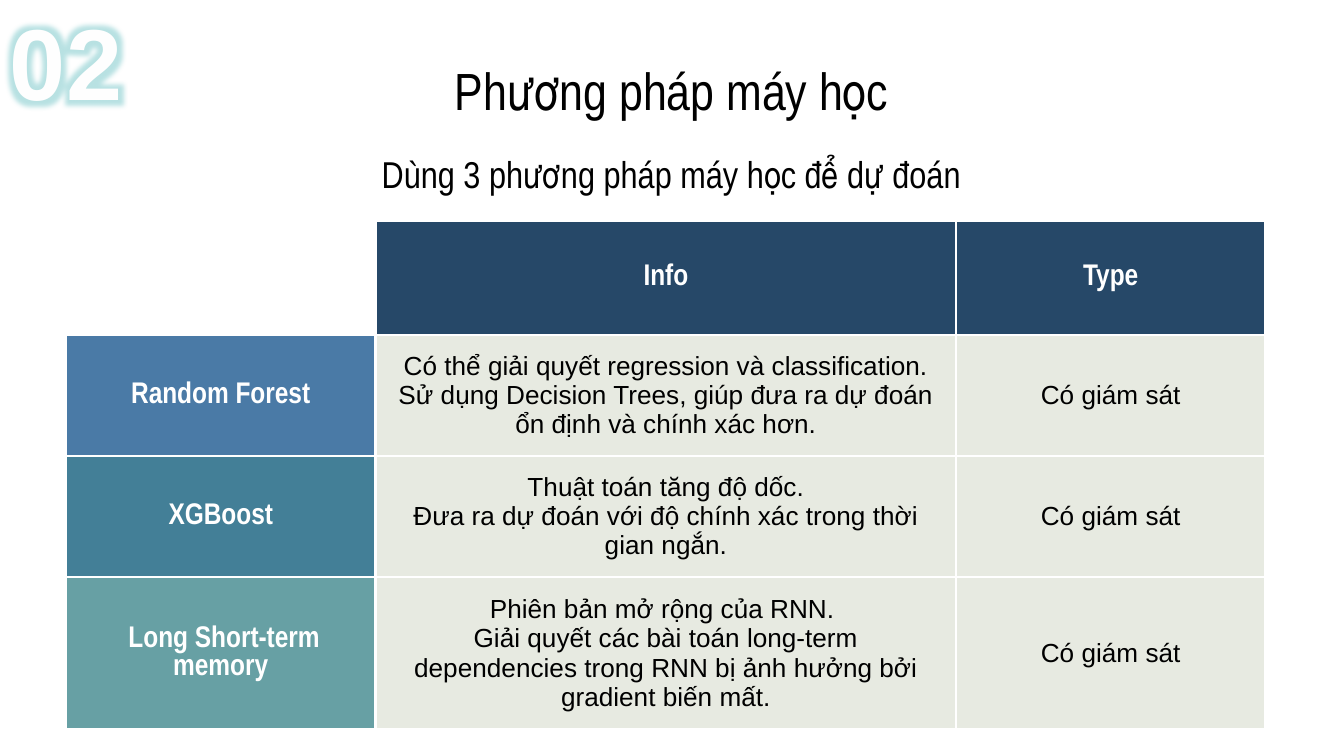
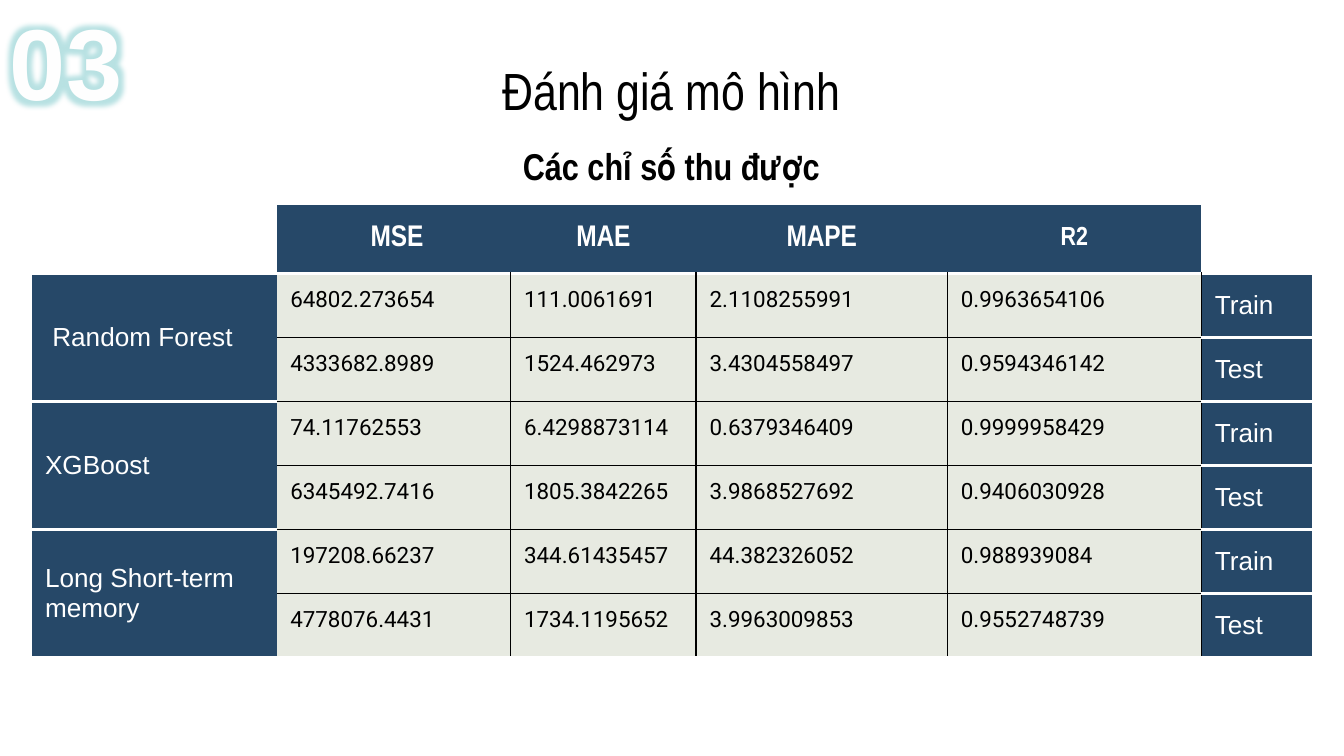
from lxml import etree
from pptx import Presentation
from pptx import util as u
from pptx.dml.color import RGBColor
from pptx.enum import text
from pptx.oxml import ns

WIDTH, HEIGHT = u.Inches(10), u.Inches(5.625)
COLORS = {
    "navy": "264868", "blue": "4A7AA6", "teal": "437F97", "sage": "67A0A4",
    "body": "E7EAE1", "white": "FFFFFF", "black": "000000",
    "number": "FEFEFE", "glow": "8ACFD1",
}
INSET = u.Inches(0.1)
PLAIN_TABLE = "{2D5ABB26-0587-4C30-8999-92F81FD0307C}"
CENTER, LEFT = text.PP_ALIGN.CENTER, text.PP_ALIGN.LEFT
MIDDLE, TOP = text.MSO_ANCHOR.MIDDLE, text.MSO_ANCHOR.TOP

METHODS = [
    ("Random Forest", "blue",
     "Có thể giải quyết regression và classification. "
     "Sử dụng Decision Trees, giúp đưa ra dự đoán ổn định và chính xác hơn."),
    ("XGBoost", "teal",
     "Thuật toán tăng độ dốc.\n"
     "Đưa ra dự đoán với độ chính xác trong thời gian ngắn."),
    (" Long Short-term memory", "sage",
     "Phiên bản mở rộng của RNN. \n"
     "Giải quyết các bài toán long-term dependencies trong RNN "
     "bị ảnh hưởng bởi gradient biến mất."),
]
METRICS = [" MSE", "MAE", "MAPE", "R2"]
SCORES = [
    (" Random Forest",
     ["64802.273654", "111.0061691", "2.1108255991", "0.9963654106"],
     ["4333682.8989", "1524.462973", "3.4304558497", "0.9594346142"]),
    ("XGBoost",
     ["74.11762553", "6.4298873114", "0.6379346409", "0.9999958429"],
     ["6345492.7416", "1805.3842265", "3.9868527692", "0.9406030928"]),
    ("Long Short-term memory",
     ["197208.66237", "344.61435457", "44.382326052", "0.988939084"],
     ["4778076.4431", "1734.1195652", "3.9963009853", "0.9552748739"]),
]


def across(percent):
    return round(WIDTH * percent / 100)


def down(percent):
    return round(HEIGHT * percent / 100)


def write(frame, words, size, font="Arial", color="black", bold=False, align=CENTER):
    frame.text = words
    for paragraph in frame.paragraphs:
        paragraph.alignment = align
        paragraph.font.size = u.Pt(size)
        paragraph.font.name = font
        paragraph.font.bold = bold
        paragraph.font.color.rgb = RGBColor.from_string(COLORS[color])


def inset(holder):
    holder.margin_left = holder.margin_right = INSET
    holder.margin_top = holder.margin_bottom = INSET
    holder.vertical_anchor = MIDDLE


def place_heading(shape, top, words, size, bold=False):
    """Centre one line of heading across the slide."""
    shape.left, shape.top = across(4.9), down(top)
    shape.width, shape.height = across(90.1), down(7.64)
    frame = shape.text_frame
    frame.word_wrap = True
    frame.auto_size = text.MSO_AUTO_SIZE.NONE
    inset(frame)
    write(frame, words, size, "Arial Narrow", bold=bold)


def solid_fill(parent, color):
    fill = etree.SubElement(parent, ns.qn("a:solidFill"))
    return etree.SubElement(fill, ns.qn("a:srgbClr"), val=COLORS[color])


def add_number(slide, number):
    """Section number in the corner, outlined and glowing."""
    box = slide.shapes.add_textbox(across(-0.4), down(-0.89), across(10.6), down(17.96))
    frame = box.text_frame
    frame.word_wrap = False
    frame.auto_size = text.MSO_AUTO_SIZE.SHAPE_TO_FIT_TEXT
    frame.text = number
    frame.paragraphs[0].alignment = CENTER
    run = frame.paragraphs[0].runs[0]
    run.font.size, run.font.bold = u.Pt(54), True
    props = run.font._element
    props.set("spc", "50")
    outline = etree.SubElement(props, ns.qn("a:ln"), w=str(u.Pt(0.75)))
    solid_fill(outline, "navy")
    solid_fill(props, "number")
    effects = etree.SubElement(props, ns.qn("a:effectLst"))
    glow = etree.SubElement(effects, ns.qn("a:glow"), rad=str(u.Pt(11)))
    tint = etree.SubElement(glow, ns.qn("a:srgbClr"), val=COLORS["glow"])
    etree.SubElement(tint, ns.qn("a:alpha"), val="60000")
    run.font.name = "Arial"


def start_slide(deck, number, title, subtitle, subtitle_top, subtitle_bold=False):
    slide = deck.slides.add_slide(deck.slide_layouts[5])
    place_heading(slide.shapes.title, 8, title, 28)
    subtitle_box = slide.shapes.add_textbox(0, 0, 0, 0)
    place_heading(subtitle_box, subtitle_top, subtitle, 20, subtitle_bold)
    add_number(slide, number)
    return slide


def add_grid(slide, left, top, columns, rows):
    """Unstyled table; columns and rows are shares of the slide's size."""
    table = slide.shapes.add_table(
        len(rows), len(columns), across(left), down(top),
        across(sum(columns)), down(sum(rows))).table
    table._tbl.tblPr.find(ns.qn("a:tableStyleId")).text = PLAIN_TABLE
    table.first_row = table.horz_banding = False
    for column, share in zip(table.columns, columns):
        column.width = across(share)
    for row, share in zip(table.rows, rows):
        row.height = down(share)
    return table


def rule_cell(cell, **sides):
    """Draw borders given as L, R, T, B; white lines are the heavier ones."""
    props = cell._tc.get_or_add_tcPr()
    for side in "LRTB":
        color = sides.get(side)
        if color:
            weight = u.Pt(1.5 if color == "white" else 1)
            line = etree.SubElement(props, ns.qn(f"a:ln{side}"), w=str(weight))
            solid_fill(line, color)


def fill_cell(cell, words, fill, size=14, anchor=MIDDLE, **style):
    cell.fill.solid()
    cell.fill.fore_color.rgb = RGBColor.from_string(COLORS[fill])
    inset(cell)
    cell.vertical_anchor = anchor
    write(cell.text_frame, words, size, **style)


def fill_header(cell, words, fill="navy", size=16):
    fill_cell(cell, words, fill, size, font="Arial Narrow", color="white", bold=True)


def fill_label(cell, words):
    fill_cell(cell, words, "navy", color="white", align=LEFT)


def add_methods(slide):
    table = add_grid(slide, 4.9, 29.16, [23.05, 43.2, 23], [15.15] * 4)
    for cell in table.iter_cells():
        rule_cell(cell, **dict.fromkeys("LRTB", "white"))
    fill_header(table.cell(0, 1), "Info")
    fill_header(table.cell(0, 2), "Type")
    for row, (method, fill, info) in enumerate(METHODS, 1):
        fill_header(table.cell(row, 0), method, fill)
        fill_cell(table.cell(row, 1), info, "body")
        fill_cell(table.cell(row, 2), "Có giám sát", "body")


def rule_scores(table):
    """White lines around the rows, black ones between the values."""
    last_row, last_value = 2 * len(SCORES), len(METRICS)
    for row in range(last_row + 1):
        for column in range(last_value + 2):
            sides = {"T": "white", "B": "white"}
            if row and 1 <= column <= last_value:
                sides = {
                    "L": "black" if column > 1 else None,
                    "R": "black" if column < last_value else None,
                    "T": "black" if row > 1 else "white",
                    "B": "black" if row < last_row else "white",
                }
            rule_cell(table.cell(row, column), **sides)


def add_scores(slide):
    table = add_grid(slide, 2.35, 27.02, [18.25, 17.4, 13.8, 18.7, 18.9, 8.2],
                     [9.15] + [8.47] * 6)
    rule_scores(table)
    for column, metric in enumerate(METRICS, 1):
        fill_header(table.cell(0, column), metric, size=14 if metric == "R2" else 16)
    for index, (method, train, test) in enumerate(SCORES):
        first = 2 * index + 1
        table.cell(first, 0).merge(table.cell(first + 1, 0))
        fill_label(table.cell(first, 0), method)
        for row, phase, values in ((first, "Train", train), (first + 1, "Test", test)):
            for column, value in enumerate(values, 1):
                fill_cell(table.cell(row, column), value, "body", 12, TOP,
                          font="Roboto", align=LEFT)
            fill_label(table.cell(row, len(METRICS) + 1), phase)


def main():
    deck = Presentation()
    deck.slide_width, deck.slide_height = WIDTH, HEIGHT
    add_methods(start_slide(deck, "02", "Phương pháp máy học",
                            "Dùng 3 phương pháp máy học để dự đoán", 19.2))
    add_scores(start_slide(deck, "03", "Đánh giá mô hình",
                           "Các chỉ số thu được", 18.13, subtitle_bold=True))
    deck.save("out.pptx")


if __name__ == "__main__":
    main()
